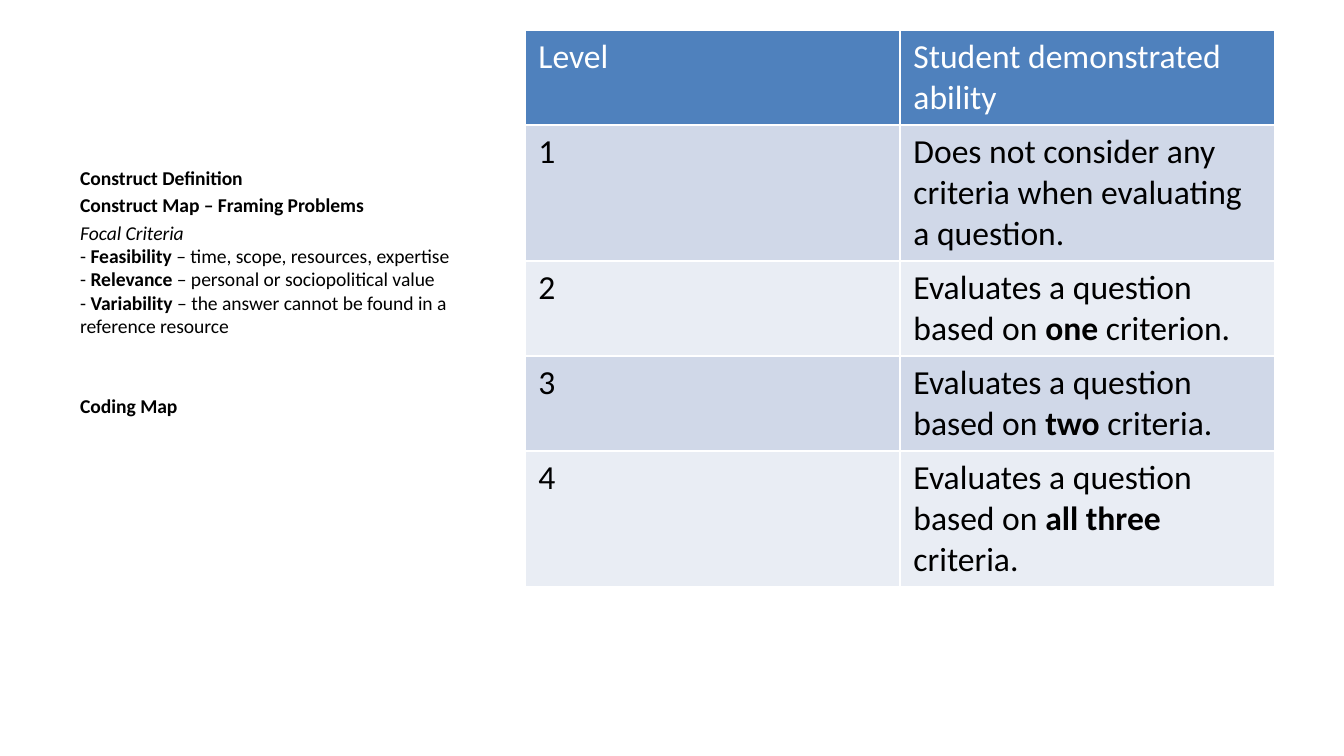
from pptx import Presentation
from pptx import util as u
from pptx.dml.color import RGBColor

PX = 914400 / 134.4
FONT = "Calibri"

# Content: *bold*, _italic_; each entry is (space before in pt, lines)
NOTES = [
    (0, ["*Construct Definition*"]),
    (2.1, ["*Construct Map – Framing Problems*"]),
    (2.1, ["_Focal Criteria_",
           "- *Feasibility* – time, scope, resources, expertise",
           "- *Relevance* – personal or sociopolitical value",
           "- *Variability* – the answer cannot be found in a reference resource"]),
    (30, ["*Coding Map*"]),
]
# Rows: level, ability, height in px
LEVELS = [
    ("Level", "Student demonstrated ability", 95),
    ("1", "Does not consider any criteria when evaluating a question.", 136),
    ("2", "Evaluates a question based on *one* criterion.", 95),
    ("3", "Evaluates a question based on *two* criteria.", 95),
    ("4", "Evaluates a question based on *all three* criteria.", 136),
]
HEADER, BANDS = "4F81BD", ("E9EDF4", "D0D8E8")


def px(n):
    return u.Emu(round(n * PX))


def rgb(color):
    return RGBColor.from_string(color)


def write(p, lines, size, color):
    for i, line in enumerate(lines):
        if i:
            p.add_line_break()
        for j, bold_part in enumerate(line.split("*")):
            for k, part in enumerate(bold_part.split("_")):
                if part:
                    r = p.add_run()
                    r.text = part
                    r.font.bold = j % 2 == 1
                    r.font.italic = k % 2 == 1
    p.font.name = FONT
    p.font.size = u.Pt(size)
    p.font.color.rgb = rgb(color)
    for r in p.runs:  # table style colours yield only to run colours
        r.font.color.rgb = rgb(color)


prs = Presentation()
prs.slide_width, prs.slide_height = px(1344), px(756)
s = prs.slides.add_slide(prs.slide_layouts[6])

# Construct notes
tf = s.shapes.add_textbox(px(67), px(159), px(442), px(517)).text_frame
tf.word_wrap = True
for i, (before, lines) in enumerate(NOTES):
    p = tf.add_paragraph() if i else tf.paragraphs[0]
    p.space_before = u.Pt(before)
    write(p, lines, 10.5, "000000")

# Level table
height = sum(row[-1] for row in LEVELS)
table = s.shapes.add_table(len(LEVELS), 2, px(525), px(30), px(750), px(height)).table
for i, (*texts, row_height) in enumerate(LEVELS):
    table.rows[i].height = px(row_height)
    for j, words in enumerate(texts):
        cell = table.cell(i, j)
        cell.fill.solid()
        cell.fill.fore_color.rgb = rgb(BANDS[i % 2] if i else HEADER)
        write(cell.text_frame.paragraphs[0], [words], 18, "000000" if i else "FFFFFF")

prs.save("out.pptx")
